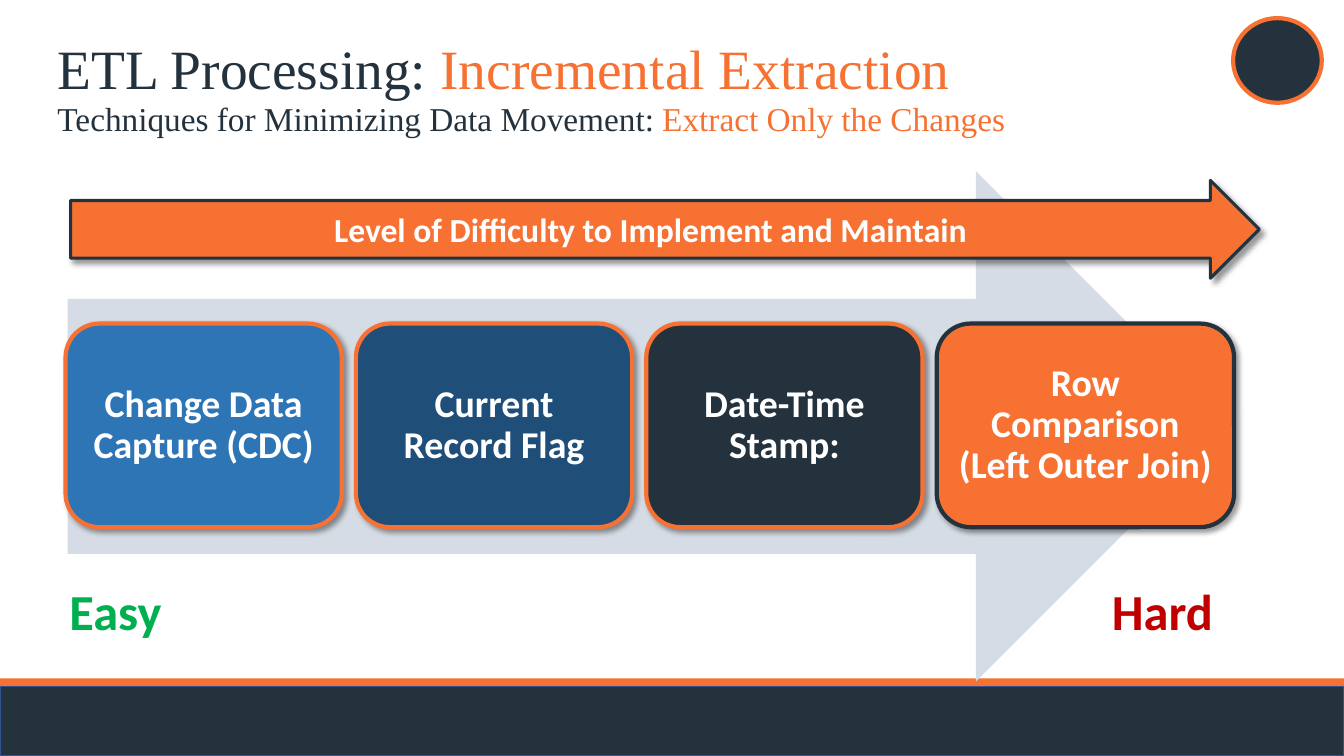
from dataclasses import dataclass

from lxml.etree import SubElement
from pptx import Presentation
from pptx.dml.color import RGBColor
from pptx.enum.shapes import MSO_SHAPE
from pptx.enum.text import MSO_ANCHOR, MSO_AUTO_SIZE, PP_ALIGN
from pptx.oxml.ns import qn
from pptx.util import Inches, Pt


@dataclass(frozen=True)
class Theme:
    heading_font: str = "Times New Roman"
    label_font: str = "Calibri"
    navy: str = "24323E"
    orange: str = "F67132"
    mid_blue: str = "2E75B6"
    deep_blue: str = "1F4E79"
    edge_blue: str = "325491"
    pale: str = "D6DCE5"
    white: str = "FFFFFF"
    green: str = "00B050"
    red: str = "C00000"
    shadow: str = "000000"
    title_size: float = 39.6
    subtitle_size: float = 23.8
    card_size: float = 27
    arrow_size: float = 24
    scale_size: float = 36


def add_text(paragraph, text, *, font, size, color, bold=False):
    run = paragraph.add_run()
    run.text = text
    run.font.name = font
    run.font.size = Pt(size)
    run.font.bold = bold
    run.font.color.rgb = RGBColor.from_string(color)


class SlideBuilder:
    def __init__(self, presentation, theme):
        self.theme = theme
        self.slide = presentation.slides.add_slide(presentation.slide_layouts[1])

    def shape(self, kind, box, fill, line=None, line_width=3, shadow=False):
        shape = self.slide.shapes.add_shape(kind, *map(Inches, box))
        shape.shadow.inherit = False
        shape.fill.solid()
        shape.fill.fore_color.rgb = RGBColor.from_string(fill)
        if line:
            shape.line.color.rgb = RGBColor.from_string(line)
            shape.line.width = Pt(line_width)
        else:
            shape.line.fill.background()
        if shadow:
            self.drop_shadow(shape)
        return shape

    def drop_shadow(self, shape):
        effects = shape._element.spPr.find(qn("a:effectLst"))
        outer = SubElement(effects, qn("a:outerShdw"), blurRad=str(Pt(4)),
                           dist=str(Pt(3)), dir=str(45 * 60000),
                           algn="tl", rotWithShape="0")
        color = SubElement(outer, qn("a:srgbClr"), val=self.theme.shadow)
        SubElement(color, qn("a:alpha"), val="40000")

    def label(self, shape, text, size, line_spacing=1.0, inset=None):
        frame = shape.text_frame
        frame.word_wrap = True
        frame.vertical_anchor = MSO_ANCHOR.MIDDLE
        if inset:
            frame.margin_left = frame.margin_right = Inches(inset)
            frame.margin_top = frame.margin_bottom = Inches(inset)
        paragraph = frame.paragraphs[0]
        paragraph.alignment = PP_ALIGN.CENTER
        paragraph.line_spacing = line_spacing
        add_text(paragraph, text, font=self.theme.label_font, size=size,
                 color=self.theme.white, bold=True)

    def heading(self, placeholder, box, parts, size, line_spacing, space_before, anchor):
        placeholder.left, placeholder.top, placeholder.width, placeholder.height = map(Inches, box)
        frame = placeholder.text_frame
        frame.word_wrap = True
        frame.auto_size = MSO_AUTO_SIZE.NONE
        frame.vertical_anchor = anchor
        paragraph = frame.paragraphs[0]
        paragraph.alignment = PP_ALIGN.LEFT
        paragraph.line_spacing = line_spacing
        paragraph.space_before = Pt(space_before)
        properties = paragraph._p.get_or_add_pPr()
        properties.set("marL", "0")
        properties.set("indent", "0")
        SubElement(properties, qn("a:buNone"))
        for text, color in zip(parts, (self.theme.navy, self.theme.orange)):
            add_text(paragraph, text, font=self.theme.heading_font, size=size, color=color)

    def scale_end(self, box, text, color):
        text_box = self.slide.shapes.add_textbox(*map(Inches, box))
        frame = text_box.text_frame
        frame.word_wrap = False
        frame.auto_size = MSO_AUTO_SIZE.SHAPE_TO_FIT_TEXT
        add_text(frame.paragraphs[0], text, font=self.theme.label_font,
                 size=self.theme.scale_size, color=color, bold=True)


def main():
    presentation = Presentation()
    presentation.slide_width = Inches(13.33)
    presentation.slide_height = Inches(7.5)
    theme = Theme()
    builder = SlideBuilder(presentation, theme)

    builder.shape(MSO_SHAPE.RECTANGLE, (0, 6.73, 13.33, 0.28), theme.orange)
    builder.shape(MSO_SHAPE.RECTANGLE, (0, 6.81, 13.33, 0.69), theme.navy,
                  theme.edge_blue, line_width=1)
    builder.shape(MSO_SHAPE.OVAL, (12.23, 0.18, 0.88, 0.84), theme.navy, theme.orange)

    title, subtitle = builder.slide.placeholders
    builder.heading(title, (0.47, 0.4, 11.23, 0.62),
                    ("ETL Processing: ", "Incremental Extraction"),
                    theme.title_size, 0.9, 0, MSO_ANCHOR.MIDDLE)
    builder.heading(subtitle, (0.47, 1.03, 11.23, 0.4),
                    ("Techniques for Minimizing Data Movement: ", "Extract Only the Changes"),
                    theme.subtitle_size, 0.7, 10, MSO_ANCHOR.TOP)

    builder.shape(MSO_SHAPE.RIGHT_ARROW, (0.67, 1.7, 11.54, 5.06), theme.pale)
    cards = (
        ("Change Data Capture (CDC)", 2.74, theme.mid_blue, theme.orange),
        ("Current Record Flag", 2.74, theme.deep_blue, theme.orange),
        ("Date-Time Stamp:", 2.74, theme.navy, theme.orange),
        ("Row Comparison (Left Outer Join)", 2.95, theme.orange, theme.navy),
    )
    card_left, card_gap = 0.65, 0.14
    for text, width, fill, line in cards:
        card = builder.shape(MSO_SHAPE.ROUNDED_RECTANGLE, (card_left, 3.21, width, 2.02),
                             fill, line, shadow=True)
        builder.label(card, text, theme.card_size, line_spacing=0.9, inset=0.11)
        card_left += width + card_gap

    difficulty = builder.shape(MSO_SHAPE.RIGHT_ARROW, (0.7, 1.79, 11.79, 0.97),
                               theme.orange, theme.navy, line_width=2.25, shadow=True)
    difficulty.adjustments[0] = 0.59
    builder.label(difficulty, "Level of Difficulty to Implement and Maintain", theme.arrow_size)

    builder.scale_end((0.59, 5.71, 1.12, 0.71), "Easy", theme.green)
    builder.scale_end((10.93, 5.71, 1.21, 0.71), "Hard", theme.red)

    presentation.save("out.pptx")


if __name__ == "__main__":
    main()
